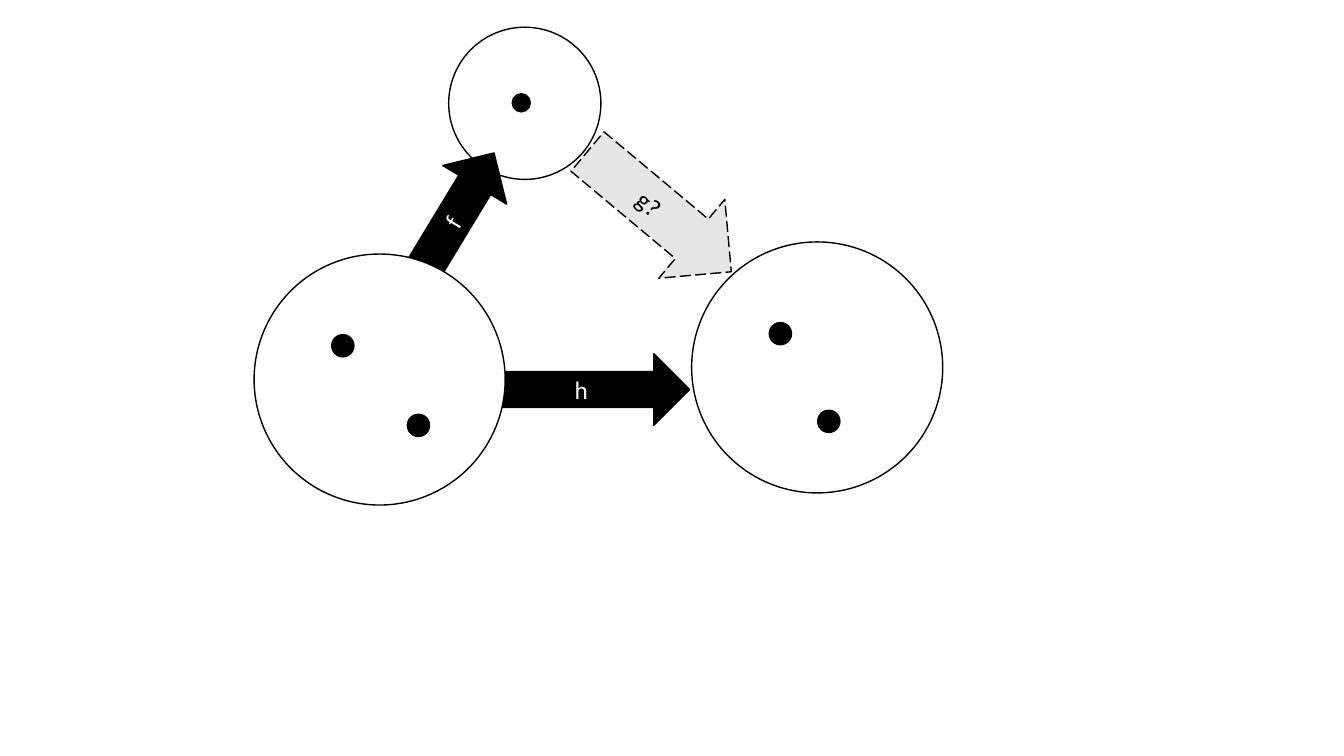
import pptx
import pptx.util
import pptx.dml.color
import pptx.enum.dml
import pptx.enum.shapes
import pptx.enum.text

PX = 9144
COLORS = {"black": "000000", "white": "FFFFFF", "gray": "E7E6E6"}
SHAPE = pptx.enum.shapes.MSO_SHAPE


def color(name):
    return pptx.dml.color.RGBColor.from_string(COLORS[name])


def draw(shapes, kind, box, fill=None):
    shape = shapes.add_shape(kind, *(n * PX for n in box))
    shape.shadow.inherit = False
    if fill:
        shape.fill.solid()
        shape.fill.fore_color.rgb = color(fill)
    else:
        shape.fill.background()
    shape.line.color.rgb = color("black")
    shape.line.width = pptx.util.Pt(1)
    return shape


def write(shape, text, size=18, ink="white", font="Calibri"):
    frame = shape.text_frame
    frame.vertical_anchor = pptx.enum.text.MSO_ANCHOR.MIDDLE
    para = frame.paragraphs[0]
    para.alignment = pptx.enum.text.PP_ALIGN.CENTER
    run = para.add_run()
    run.text = text
    run.font.name = font
    run.font.size = pptx.util.Pt(size)
    run.font.color.rgb = color(ink)


def add_arrow(slide, box, text, turn=0, fill="black", ink="white", dash=None):
    arrow = draw(slide.shapes, SHAPE.RIGHT_ARROW, box, fill)
    arrow.rotation = turn
    if dash:
        arrow.line.dash_style = dash
    write(arrow, text, ink=ink)


def add_set(slide, box, dots, size, fill=None):
    left, top = box[:2]
    group = slide.shapes.add_group_shape()
    draw(group.shapes, SHAPE.OVAL, box, fill)
    for x, y in dots:
        draw(group.shapes, SHAPE.OVAL, (left + x, top + y, size, size), "black")


def main():
    deck = pptx.Presentation()
    deck.slide_width = pptx.util.Inches(13.33)
    deck.slide_height = pptx.util.Inches(7.5)
    slide = deck.slides.add_slide(deck.slide_layouts[6])

    add_arrow(slide, (487, 351, 197, 71), "h")
    add_arrow(slide, (383, 175, 141, 74), "f", turn=301.2)
    add_set(slide, (445, 27, 151, 151), [(63, 66)], 18)
    add_set(slide, (252, 252, 249, 249), [(77, 80), (152, 159)], 22, "white")
    add_set(slide, (686, 240, 249, 249), [(77, 80), (125, 167)], 22)
    add_arrow(slide, (561, 159, 186, 102), "g?", turn=39.9, fill="gray",
              ink="black", dash=pptx.enum.dml.MSO_LINE.LONG_DASH)
    deck.save("out.pptx")


if __name__ == "__main__":
    main()
